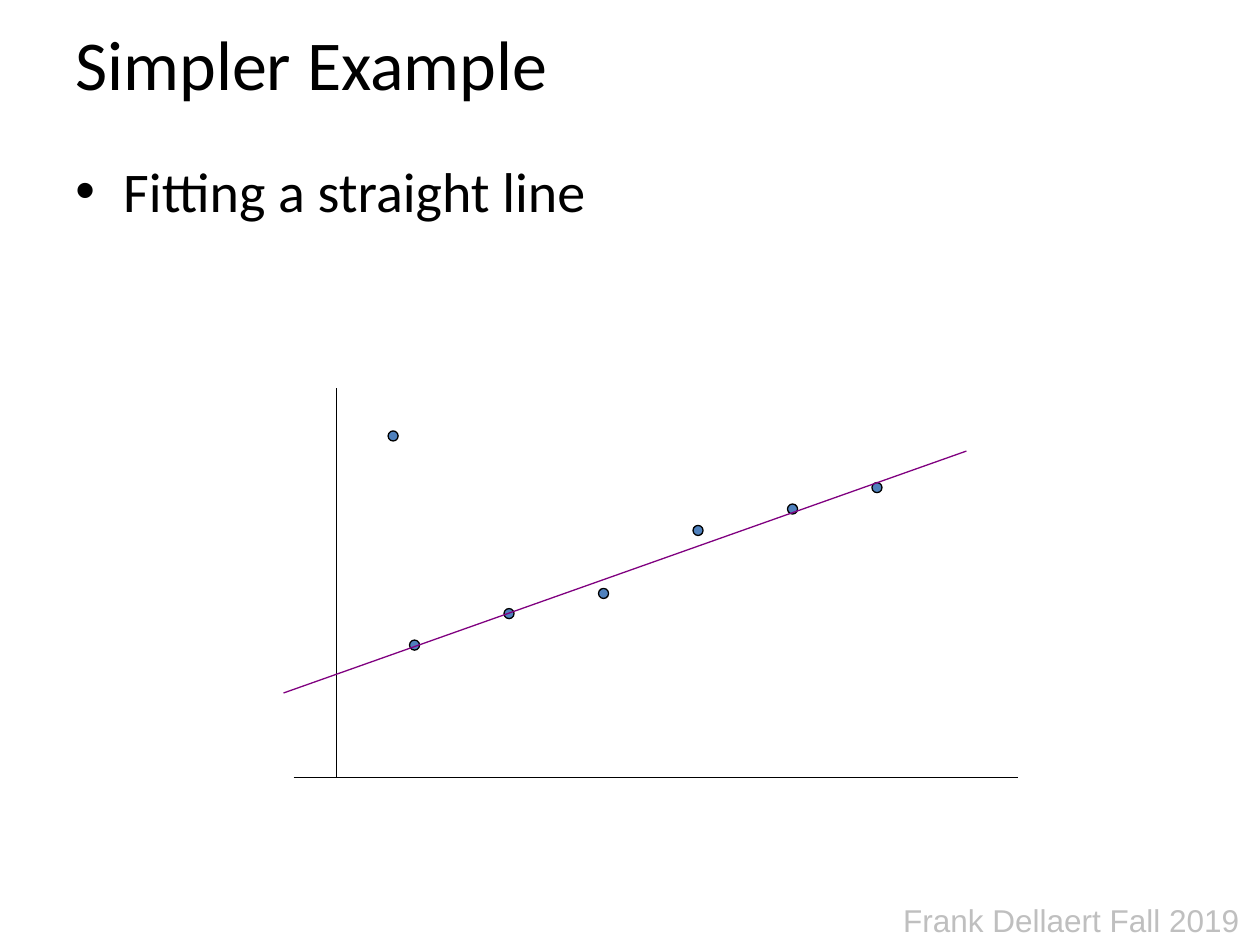
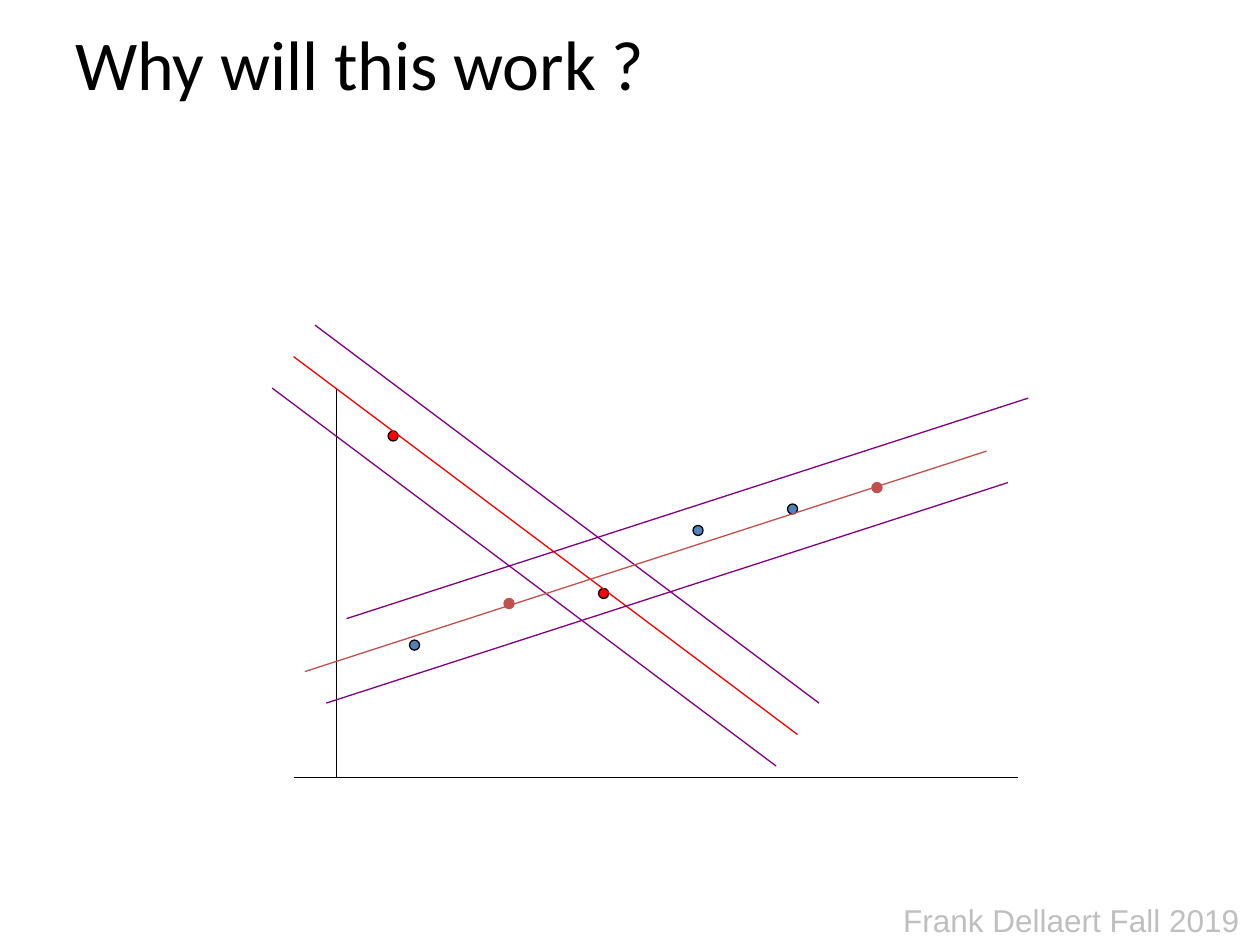
from dataclasses import dataclass

from lxml import etree
from pptx import Presentation
from pptx.dml.color import RGBColor
from pptx.enum.shapes import MSO_CONNECTOR, MSO_SHAPE
from pptx.enum.text import MSO_ANCHOR, MSO_AUTO_SIZE
from pptx.oxml.ns import qn
from pptx.util import Inches, Pt

STRAIGHT = MSO_CONNECTOR.STRAIGHT
OVAL = MSO_SHAPE.OVAL
MIDDLE = MSO_ANCHOR.MIDDLE
FIT_SHAPE = MSO_AUTO_SIZE.SHAPE_TO_FIT_TEXT


@dataclass(frozen=True)
class Theme:
    black: RGBColor = RGBColor(0x00, 0x00, 0x00)
    grey: RGBColor = RGBColor(0xBF, 0xBF, 0xBF)
    blue: RGBColor = RGBColor(0x4F, 0x81, 0xBD)
    brick: RGBColor = RGBColor(0xC0, 0x50, 0x4D)
    red: RGBColor = RGBColor(0xFF, 0x00, 0x00)
    purple: RGBColor = RGBColor(0x80, 0x00, 0x80)
    text_font: str = "Calibri"
    footer_font: str = "Arial"
    title_size: Pt = Pt(40)
    body_size: Pt = Pt(32)
    footer_size: Pt = Pt(18)
    line_width: Pt = Pt(0.75)


theme = Theme()


def add_text(slide, box, text, size, font=theme.text_font, color=theme.black):
    """Add a one-paragraph text box and return its text frame."""
    frame = slide.shapes.add_textbox(*map(Inches, box)).text_frame
    frame.word_wrap = True
    paragraph = frame.paragraphs[0]
    paragraph.text = text
    paragraph.font.size = size
    paragraph.font.name = font
    paragraph.font.color.rgb = color
    return frame


def add_line(shapes, start, end, color):
    line = shapes.add_connector(STRAIGHT, *map(Inches, (*start, *end)))
    line.line.color.rgb = color
    line.line.width = theme.line_width
    etree.SubElement(line._element.spPr, qn("a:effectLst"))


presentation = Presentation()
presentation.slide_width = Inches(10)
presentation.slide_height = Inches(7.5)
blank_layout = presentation.slide_layouts[6]

AXES = [((2.67, 3.08), (2.67, 6.17)), ((2.33, 6.17), (8.08, 6.17))]
DOT_SIZE = 0.08
DATA_POINTS = [(3.25, 5.08), (4, 4.83), (4.75, 4.67), (5.5, 4.17),
               (6.92, 3.83), (6.25, 4), (3.08, 3.42)]
SAMPLED_POINTS = [(4, 4.75) if point == (4, 4.83) else point
                  for point in DATA_POINTS]

# Point styles: fill and outline
plain = (theme.blue, theme.black)
good_sample = (theme.brick, theme.brick)
bad_sample = (theme.red, theme.black)

# A line group: start, end, then (shift right, shift down, color) of each line
fitted_line = ((2.25, 5.5), (7.67, 3.58), [(0, 0, theme.purple)])
bad_band = ((2.33, 2.83), (6.33, 5.83), [
    (-0.17, 0.25, theme.purple),
    (0, 0, theme.red),
    (0.17, -0.25, theme.purple),
])
good_band = ((2.42, 5.33), (7.83, 3.58), [
    (0, 0, theme.brick),
    (0.17, 0.25, theme.purple),
    (0.33, -0.42, theme.purple),
])

# Title, bullet, points, styles of the sampled points, line groups
slides = [
    ("Simpler Example", "Fitting a straight line", DATA_POINTS, {}, [fitted_line]),
    ("Why will this work ?", None, SAMPLED_POINTS,
     {(4, 4.75): good_sample, (6.92, 3.83): good_sample,
      (4.75, 4.67): bad_sample, (3.08, 3.42): bad_sample},
     [bad_band, good_band]),
]

for title, bullet, points, sample_styles, line_groups in slides:
    slide = presentation.slides.add_slide(blank_layout)

    footer = add_text(slide, (7.07, 7.1, 2.89, 0.4), "Frank Dellaert Fall 2019",
                      theme.footer_size, theme.footer_font, theme.grey)
    footer.word_wrap = False
    footer.auto_size = FIT_SHAPE

    heading = add_text(slide, (0.5, 0, 9, 1), title, theme.title_size)
    heading.vertical_anchor = MIDDLE

    if bullet:
        body = add_text(slide, (0.5, 1.08, 9, 5.62), bullet, theme.body_size)
        body.margin_top = Inches(0.16)
        properties = body.paragraphs[0]._p.get_or_add_pPr()
        properties.set("marL", str(Inches(0.38)))
        properties.set("indent", str(Inches(-0.38)))
        bullet_font = etree.Element(qn("a:buFont"), typeface="Arial")
        bullet_mark = etree.Element(qn("a:buChar"), char="•")
        properties.insert(0, bullet_font)
        properties.insert(1, bullet_mark)

    for start, end in AXES:
        add_line(slide.shapes, start, end, theme.black)

    for point in points:
        fill, outline = sample_styles.get(point, plain)
        dot = slide.shapes.add_shape(
            OVAL, *map(Inches, (*point, DOT_SIZE, DOT_SIZE)))
        dot.shadow.inherit = False
        dot.fill.solid()
        dot.fill.fore_color.rgb = fill
        dot.line.color.rgb = outline
        dot.line.width = theme.line_width

    for (left, top), (right, bottom), lines in line_groups:
        shapes = slide.shapes
        if len(lines) > 1:
            shapes = slide.shapes.add_group_shape().shapes
        for shift_x, shift_y, color in lines:
            add_line(shapes, (left + shift_x, top + shift_y),
                     (right + shift_x, bottom + shift_y), color)

presentation.save("out.pptx")
